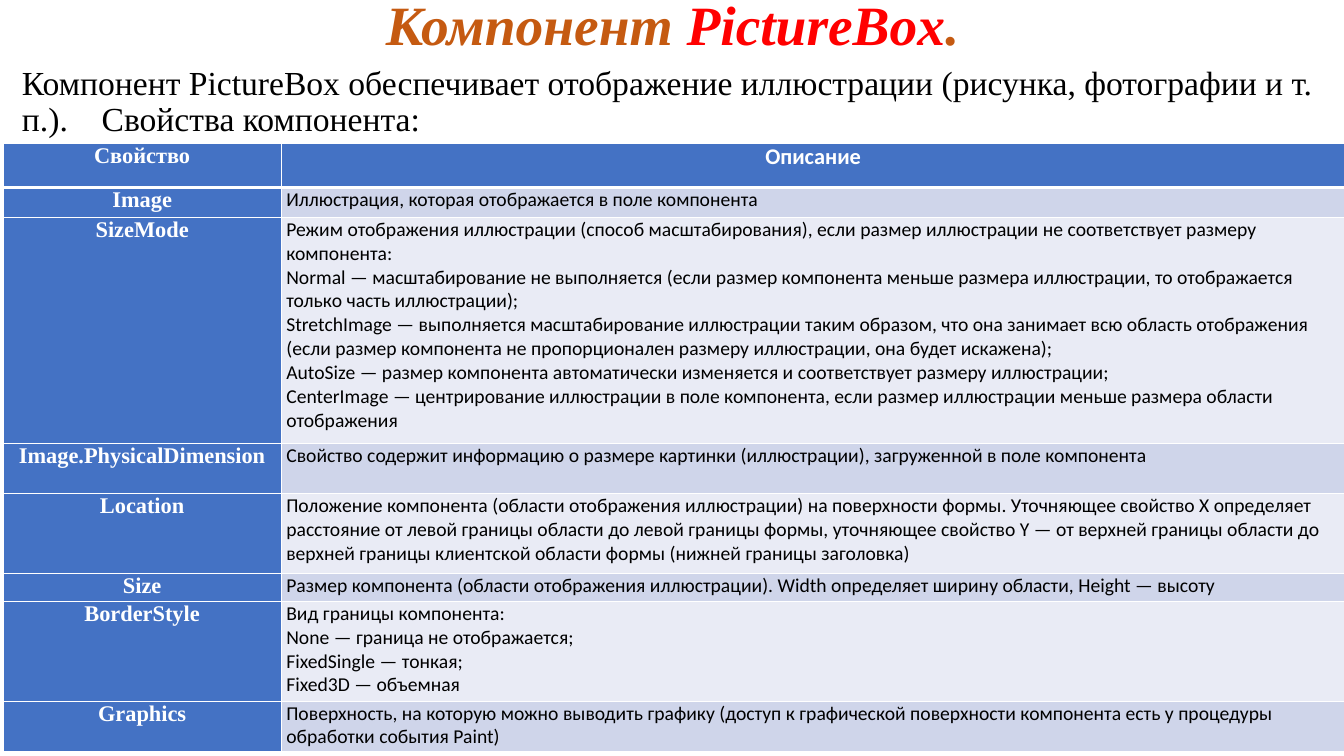
"""Build a slide describing the PictureBox component and its properties."""
from dataclasses import dataclass

from lxml.etree import SubElement
from pptx import Presentation
from pptx.dml.color import RGBColor
from pptx.enum.text import MSO_ANCHOR, PP_ALIGN
from pptx.oxml.ns import qn
from pptx.slide import Slide
from pptx.table import _Cell
from pptx.text.text import TextFrame, _Paragraph
from pptx.util import Pt

EMU_PER_PX = 9144


@dataclass(frozen=True)
class Theme:
    serif: str = "Times New Roman"
    sans: str = "Calibri"
    orange: str = "C55A11"
    red: str = "FF0000"
    black: str = "000000"
    white: str = "FFFFFF"
    blue: str = "4472C4"
    bands: tuple[str, str] = ("CFD5EA", "E9EBF5")
    title_size: float = 39.6
    intro_size: float = 24
    heading_size: float = 16
    detail_size: float = 14
    thin_border: int = 1
    thick_border: int = 3


THEME = Theme()


@dataclass(frozen=True)
class Style:
    font: str
    size: float
    color: str
    bold: bool = False
    italic: bool = False


@dataclass(frozen=True)
class Property:
    name: str
    height: int
    details: tuple[str, ...]


TITLE = Style(THEME.serif, THEME.title_size, THEME.orange, True, True)
TITLE_ACCENT = Style(THEME.serif, THEME.title_size, THEME.red, True, True)
INTRO = Style(THEME.serif, THEME.intro_size, THEME.black)
NAME = Style(THEME.serif, THEME.heading_size, THEME.white, True)
DESCRIPTION_HEADING = Style(THEME.sans, THEME.heading_size, THEME.white, True)
DETAIL = Style(THEME.sans, THEME.detail_size, THEME.black)

COLUMN_WIDTHS = (276, 1055)
HEADER_HEIGHT = 44
PROPERTIES = (
    Property("Image", 30, ("Иллюстрация, которая отображается в поле компонента",)),
    Property("SizeMode", 224, (
        "Режим отображения иллюстрации (способ масштабирования), если размер иллюстрации "
        "не соответствует размеру компонента:",
        "Normal — масштабирование не выполняется (если размер компонента меньше размера "
        "иллюстрации, то отображается только часть иллюстрации);",
        "StretchImage — выполняется масштабирование иллюстрации таким образом, что она "
        "занимает всю область отображения (если размер компонента не пропорционален "
        "размеру иллюстрации, она будет искажена);",
        "AutoSize — размер компонента автоматически изменяется и соответствует размеру "
        "иллюстрации;",
        "CenterImage — центрирование иллюстрации в поле компонента, если размер "
        "иллюстрации меньше размера области отображения",
    )),
    Property("Image.PhysicalDimension", 50, (
        "Свойство содержит информацию о размере картинки (иллюстрации), загруженной "
        "в поле компонента",
    )),
    Property("Location", 79, (
        "Положение компонента (области отображения иллюстрации) на поверхности формы. "
        "Уточняющее свойство X определяет расстояние от левой границы области до левой "
        "границы формы, уточняющее свойство Y — от верхней границы области до верхней "
        "границы клиентской области формы (нижней границы заголовка)",
    )),
    Property("Size", 28, (
        "Размер компонента (области отображения иллюстрации). Width определяет ширину "
        "области, Height — высоту",
    )),
    Property("BorderStyle", 99, (
        "Вид границы компонента:",
        "None — граница не отображается;",
        "FixedSingle — тонкая;",
        "Fixed3D — объемная",
    )),
    Property("Graphics", 50, (
        "Поверхность, на которую можно выводить графику (доступ к графической "
        "поверхности компонента есть у процедуры обработки события Paint)",
    )),
)


def px(length: int) -> int:
    """Turn whole px into EMU."""
    return length * EMU_PER_PX


def add_run(paragraph: _Paragraph, text: str, style: Style) -> None:
    """Append one styled run."""
    run = paragraph.add_run()
    run.text = text
    run.font.name = style.font
    run.font.size = Pt(style.size)
    run.font.bold = style.bold
    run.font.italic = style.italic
    run.font.color.rgb = RGBColor.from_string(style.color)


def add_text_frame(slide: Slide, left: int, top: int, width: int, height: int) -> TextFrame:
    """Add a wrapping text box and return its frame."""
    frame = slide.shapes.add_textbox(px(left), px(top), px(width), px(height)).text_frame
    frame.word_wrap = True
    frame.paragraphs[0].line_spacing = 0.9
    return frame


def add_title(slide: Slide) -> None:
    """Add the two-colour title."""
    frame = add_text_frame(slide, 12, 2, 1310, 50)
    frame.vertical_anchor = MSO_ANCHOR.MIDDLE
    paragraph = frame.paragraphs[0]
    paragraph.alignment = PP_ALIGN.CENTER
    add_run(paragraph, "Компонент ", TITLE)
    add_run(paragraph, "PictureBox", TITLE_ACCENT)
    add_run(paragraph, ".", TITLE)


def add_intro(slide: Slide) -> None:
    """Add the introduction with a tab before its last sentence."""
    paragraph = add_text_frame(slide, 12, 61, 1310, 679).paragraphs[0]
    tabs = SubElement(paragraph._p.get_or_add_pPr(), qn("a:tabLst"))
    SubElement(tabs, qn("a:tab"), pos=str(px(79)), algn="l")
    add_run(paragraph, "Компонент PictureBox обеспечивает отображение иллюстрации "
            "(рисунка, фотографии и т. п.).\tСвойства компонента:", INTRO)


def add_border(cell: _Cell, side: str, width: int) -> None:
    """Draw one white cell border."""
    line = SubElement(cell._tc.get_or_add_tcPr(), qn(f"a:ln{side}"), w=str(Pt(width)))
    fill = SubElement(line, qn("a:solidFill"))
    SubElement(fill, qn("a:srgbClr"), val=THEME.white)


def fill_cell(cell: _Cell, texts: tuple[str, ...], style: Style, color: str,
              alignment: PP_ALIGN, top: int, bottom: int) -> None:
    """Set the borders, fill and paragraphs of a cell."""
    thin = THEME.thin_border
    for side, width in (("L", thin), ("R", thin), ("T", top), ("B", bottom)):
        add_border(cell, side, width)
    cell.fill.solid()
    cell.fill.fore_color.rgb = RGBColor.from_string(color)
    cell.margin_left = cell.margin_right = px(5)
    cell.margin_top = cell.margin_bottom = 0
    for index, text in enumerate(texts):
        frame = cell.text_frame
        paragraph = frame.add_paragraph() if index else frame.paragraphs[0]
        paragraph.alignment = alignment
        add_run(paragraph, text, style)


def add_property_table(slide: Slide) -> None:
    """Add the table of properties."""
    heights = (HEADER_HEIGHT, *(item.height for item in PROPERTIES))
    table = slide.shapes.add_table(len(heights), len(COLUMN_WIDTHS), px(3), px(142),
                                   px(sum(COLUMN_WIDTHS)), px(sum(heights))).table
    table.horz_banding = False
    for column, width in zip(table.columns, COLUMN_WIDTHS):
        column.width = px(width)
    for row, height in zip(table.rows, heights):
        row.height = px(height)
    thin, thick = THEME.thin_border, THEME.thick_border
    headings = (("Свойство", NAME), ("Описание", DESCRIPTION_HEADING))
    for column, (heading, style) in enumerate(headings):
        fill_cell(table.cell(0, column), (heading,), style, THEME.blue,
                  PP_ALIGN.CENTER, thin, thick)
    for index, item in enumerate(PROPERTIES):
        top = thin if index else thick
        fill_cell(table.cell(index + 1, 0), (item.name,), NAME, THEME.blue,
                  PP_ALIGN.CENTER, top, thin)
        fill_cell(table.cell(index + 1, 1), item.details, DETAIL, THEME.bands[index % 2],
                  PP_ALIGN.LEFT, top, thin)


def main() -> None:
    """Build and save the presentation."""
    presentation = Presentation()
    presentation.slide_width, presentation.slide_height = px(1333), px(750)
    slide = presentation.slides.add_slide(presentation.slide_layouts[6])
    add_title(slide)
    add_intro(slide)
    add_property_table(slide)
    presentation.save("out.pptx")


if __name__ == "__main__":
    main()
